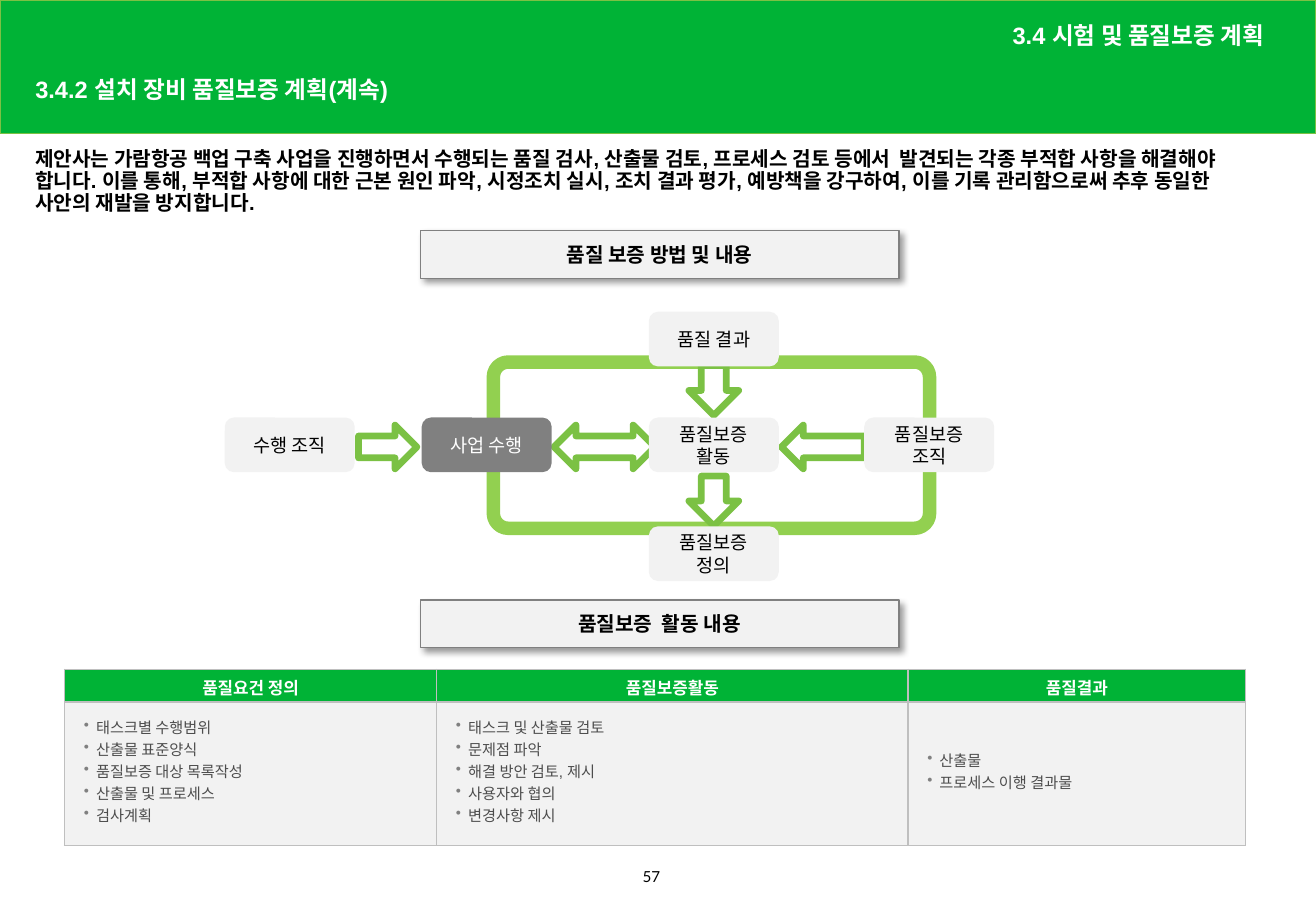
from lxml import etree
from pptx import Presentation
from pptx.dml.color import RGBColor
from pptx.enum.shapes import MSO_SHAPE as Shape
from pptx.enum.text import MSO_ANCHOR as Anchor, MSO_AUTO_SIZE as AutoSize, PP_ALIGN as Align
from pptx.oxml import parse_xml
from pptx.oxml.ns import nsdecls, qn
from pptx.util import Pt

GREEN = RGBColor(0x00, 0xB3, 0x36)
LEAF = RGBColor(0x7B, 0xC1, 0x44)
LIME = RGBColor(0x92, 0xD0, 0x50)
WHITE = RGBColor(0xFF, 0xFF, 0xFF)
BLACK = RGBColor(0x00, 0x00, 0x00)
PALE = RGBColor(0xF2, 0xF2, 0xF2)
GRAY = RGBColor(0x80, 0x80, 0x80)
CHARCOAL = RGBColor(0x4D, 0x4D, 0x4D)
BORDER = RGBColor(0xBF, 0xBF, 0xBF)


def write(frame, text, size, color, bold=False, align=Align.LEFT, font="Arial"):
    """Fill a text frame, one paragraph per line of text."""
    frame.word_wrap = True
    frame.text = text
    for paragraph in frame.paragraphs:
        paragraph.alignment = align
        for run in paragraph.runs:
            run.font.name = font
            run.font.size = Pt(size)
            run.font.bold = bold
            run.font.color.rgb = color


def add_box(kind, left, top, width, height, fill=None, line=None, line_width=1):
    box = slide.shapes.add_shape(kind, Pt(left), Pt(top), Pt(width), Pt(height))
    box.shadow.inherit = False
    if fill is None:
        box.fill.background()
    else:
        box.fill.solid()
        box.fill.fore_color.rgb = fill
    if line is None:
        box.line.fill.background()
    else:
        box.line.color.rgb = line
        box.line.width = Pt(line_width)
    return box


prs = Presentation()
prs.slide_width, prs.slide_height = Pt(779.76), Pt(540)
slide = prs.slides.add_slide(prs.slide_layouts[1])

# Header
banner = add_box(Shape.RECTANGLE, 0, 0, 779.76, 79.2, GREEN, LEAF)
slide.shapes._spTree.insert(2, banner._element)

title, section = slide.placeholders
headings = [
    (title, "3.4.2 설치 장비 품질보증 계획(계속)", Align.LEFT, (13.7, 42.5, 460.8, 22.3)),
    (section, "3.4 시험 및 품질보증 계획 ", Align.RIGHT, (414, 7.9, 345.6, 28.1)),
]
for holder, text, align, place in headings:
    holder.left, holder.top, holder.width, holder.height = map(Pt, place)
    write(holder.text_frame, text, 14, WHITE, True, align)
    holder.text_frame.auto_size = AutoSize.NONE
    holder.text_frame.vertical_anchor = Anchor.MIDDLE
    heading = holder.text_frame.paragraphs[0]
    heading.line_spacing = 0.9
    heading.space_before = Pt(0)
    props = heading._p.get_or_add_pPr()
    props.set("marL", "0")
    props.set("indent", "0")
    etree.SubElement(props, qn("a:buNone"))

intro = slide.shapes.add_textbox(Pt(13.7), Pt(85), Pt(745.2), Pt(85)).text_frame
write(intro, "제안사는 가람항공 백업 구축 사업을 진행하면서 수행되는 품질 검사, 산출물 검토, "
      "프로세스 검토 등에서  발견되는 각종 부적합 사항을 해결해야 합니다. 이를 통해, "
      "부적합 사항에 대한 근본 원인 파악, 시정조치 실시, 조치 결과 평가, 예방책을 강구하여, "
      "이를 기록 관리함으로써 추후 동일한 사안의 재발을 방지합니다.", 12, BLACK, True)
intro.paragraphs[0].line_spacing = 0.9

# Section captions
for caption, top in [("품질 보증 방법 및 내용", 136.8), ("품질보증  활동 내용", 355.7)]:
    plate = add_box(Shape.RECTANGLE, 249, top, 283.7, 28.1, PALE, GRAY, 0.75)
    write(plate.text_frame, caption, 12, BLACK, True, Align.CENTER)
    plate.text_frame.paragraphs[0].space_after = Pt(2)
    effects = plate._element.spPr.find(qn("a:effectLst"))
    effects.append(parse_xml(
        f'<a:outerShdw {nsdecls("a")} blurRad="{Pt(4)}" dist="{Pt(3)}" dir="2700000" '
        'algn="tl" rotWithShape="0"><a:srgbClr val="000000"><a:alpha val="40000"/>'
        '</a:srgbClr></a:outerShdw>'))

# Process diagram
loop = add_box(Shape.ROUNDED_RECTANGLE, 292.3, 214.6, 258.5, 98.6, None, LIME, 8)
loop.adjustments[0] = 0.09

arrows = [
    (Shape.RIGHT_ARROW, 212.4, 252, 34.6, 25.9),
    (Shape.LEFT_RIGHT_ARROW, 328.3, 252, 59.8, 25.9),
    (Shape.LEFT_ARROW, 463, 252, 49, 25.9),
    (Shape.DOWN_ARROW, 408.2, 282.2, 29.5, 29.5),
    (Shape.DOWN_ARROW, 408.2, 216.7, 29.5, 29.5),
]
for kind, *place in arrows:
    arrow = add_box(kind, *place, WHITE, LEAF, 4)
    etree.SubElement(arrow._element.spPr.find(qn("a:ln")), qn("a:round"))

UPPER, MIDDLE, LOWER = 184.8, 247.5, 312
nodes = [
    ("수행 조직", 133.2, MIDDLE, PALE, BLACK),
    ("사업 수행", 249.9, MIDDLE, GRAY, WHITE),
    ("품질 결과", 384.5, UPPER, PALE, BLACK),
    ("품질보증 활동", 384.5, MIDDLE, PALE, BLACK),
    ("품질보증 정의", 384.5, LOWER, PALE, BLACK),
    ("품질보증 조직", 512.1, MIDDLE, PALE, BLACK),
]
for name, left, top, fill, color in nodes:
    node = add_box(Shape.ROUNDED_RECTANGLE, left, top, 77, 32.4, fill)
    write(node.text_frame, name, 11, color, align=Align.CENTER)
    node.text_frame.paragraphs[0].space_after = Pt(2)

# Activity table
activities = [
    ("품질요건 정의", 220.5,
     "태스크별 수행범위\n산출물 표준양식\n품질보증 대상 목록작성\n산출물 및 프로세스\n검사계획"),
    ("품질보증활동", 279.3,
     "태스크 및 산출물 검토\n문제점 파악\n해결 방안 검토, 제시\n사용자와 협의\n변경사항 제시"),
    ("품질결과", 200.1, "산출물\n프로세스 이행 결과물"),
]
table = slide.shapes.add_table(2, 3, Pt(38.2), Pt(396.7), Pt(699.9), Pt(104.4)).table
table.horz_banding = False
table.rows[0].height, table.rows[1].height = Pt(19.4), Pt(85)
for col, (header, width, items) in enumerate(activities):
    table.columns[col].width = Pt(width)
    head, body = table.cell(0, col), table.cell(1, col)
    write(head.text_frame, header, 10, WHITE, True, Align.CENTER, "Calibri")
    write(body.text_frame, items, 9, CHARCOAL)
    for cell, fill, inset in [(head, GREEN, 7.2), (body, PALE, 11.5)]:
        cell.vertical_anchor = Anchor.MIDDLE
        cell.margin_left = cell.margin_right = Pt(inset)
        cell.margin_top = cell.margin_bottom = Pt(3.6)
        for side in ("lnL", "lnR", "lnT", "lnB"):
            cell._tc.get_or_add_tcPr().append(parse_xml(
                f'<a:{side} {nsdecls("a")} w="{Pt(1)}"><a:solidFill>'
                f'<a:srgbClr val="{BORDER}"/></a:solidFill></a:{side}>'))
        cell.fill.solid()
        cell.fill.fore_color.rgb = fill
    for row, item in enumerate(body.text_frame.paragraphs):
        props = item._p.get_or_add_pPr()
        props.set("marL", str(Pt(7.2)))
        props.set("indent", str(Pt(-7.2)))
        bullet_color = etree.SubElement(props, qn("a:buClr"))
        etree.SubElement(bullet_color, qn("a:srgbClr"), val=str(GRAY))
        etree.SubElement(props, qn("a:buChar"), char="•")
        tabs = etree.SubElement(props, qn("a:tabLst"))
        etree.SubElement(tabs, qn("a:tab"), pos=str(Pt(113)), algn="l")
        item.line_spacing = Pt(10)
        item.space_before = Pt(3 if row else 0)

page_number = slide.shapes.add_textbox(Pt(373.7), Pt(510.5), Pt(32.4), Pt(20.2))
write(page_number.text_frame, "57", 9, BLACK, font="Lato")

prs.save("out.pptx")
